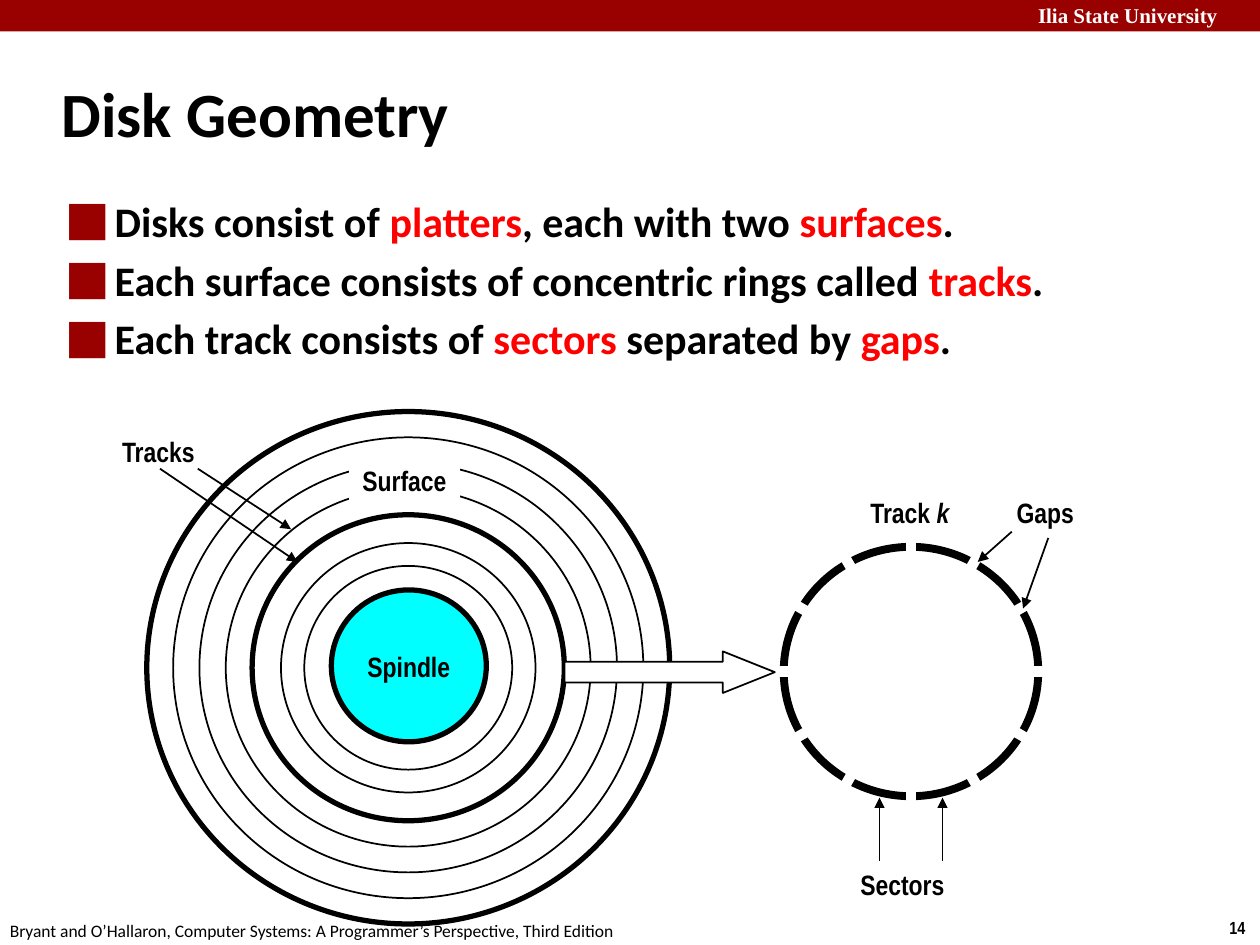
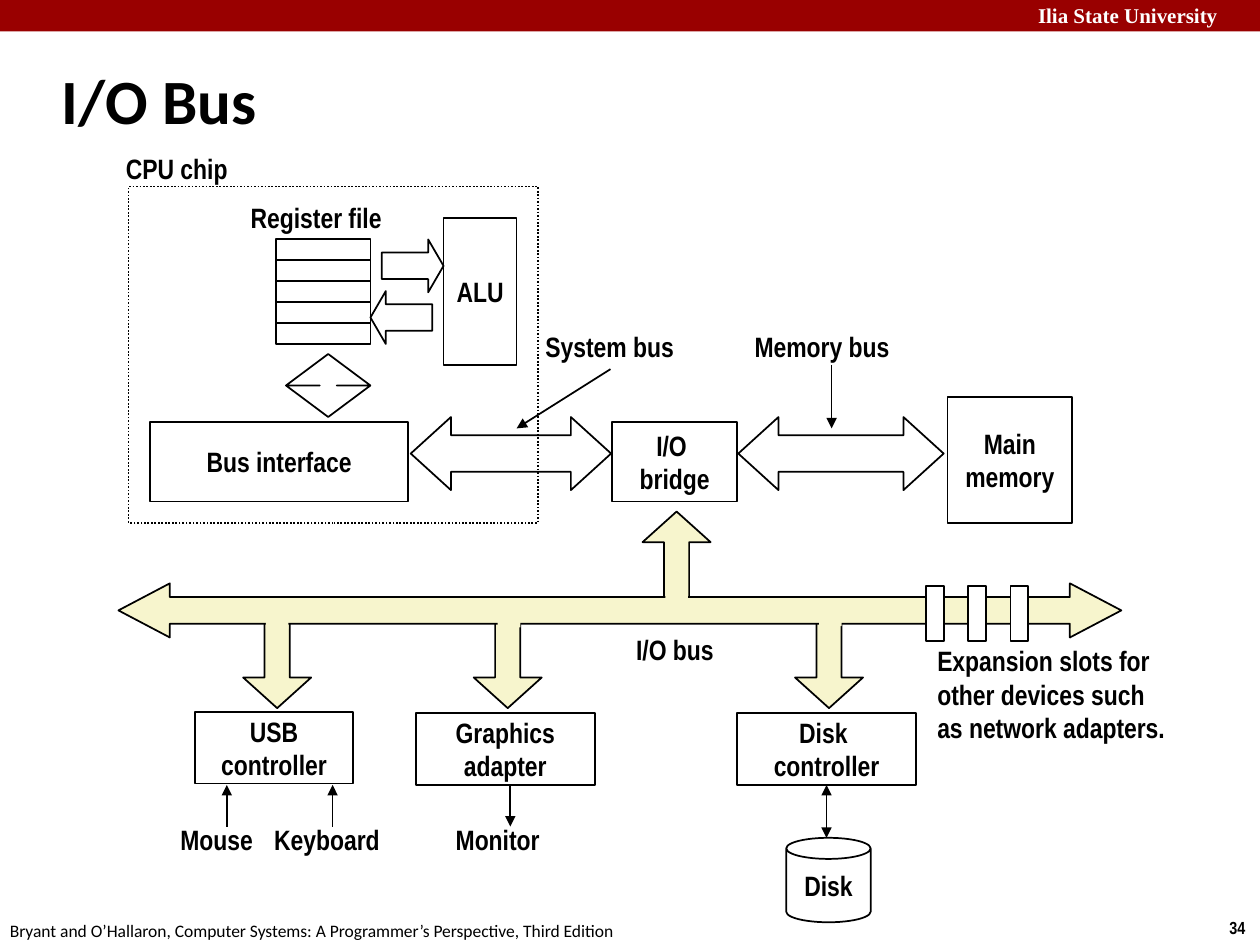
import math

from lxml import etree
from pptx import Presentation
from pptx import util as u
from pptx.dml.color import RGBColor
from pptx.enum import dml, shapes, text
from pptx.oxml.ns import qn

COLUMNS, ROWS = 100, 75
WIDTH, HEIGHT = u.Inches(10), u.Inches(7.5)
BLACK, WHITE, RED, MAROON = "000000", "FFFFFF", "FF0000", "990000"
CYAN, CREAM = "00FFFF", "F7F5CD"
LABEL = {"name": "Arial Narrow", "size": u.Pt(16), "bold": True}
TITLE = {"name": "Calibri", "size": u.Pt(36), "bold": True}
BODY = {"name": "Calibri", "size": u.Pt(24), "bold": True}
BRAND = {"name": "Times New Roman", "size": u.Pt(12), "bold": True}
NUMBER = {"name": "Arial Narrow", "size": u.Pt(10), "bold": True}
CREDIT = {"name": "Calibri", "size": u.Pt(10), "bold": False}
LEFT, CENTER = text.PP_ALIGN.LEFT, text.PP_ALIGN.CENTER
TOP, MIDDLE = text.MSO_ANCHOR.TOP, text.MSO_ANCHOR.MIDDLE
KIND = shapes.MSO_SHAPE


def x(columns):
    """Convert grid columns to a horizontal length."""
    return round(WIDTH * columns / COLUMNS)


def y(rows):
    """Convert grid rows to a vertical length."""
    return round(HEIGHT * rows / ROWS)


def area(left, top, width, height):
    """Convert a grid rectangle to slide lengths."""
    return x(left), y(top), x(width), y(height)


def apply(target, values):
    """Set every attribute named in a dict."""
    for name, value in values.items():
        setattr(target, name, value)


def paint(fill, color):
    """Fill with a hex colour, or clear the fill when there is none."""
    if color:
        fill.solid()
        fill.fore_color.rgb = RGBColor.from_string(color)
    else:
        fill.background()


def write(frame, words, style, color=BLACK, align=LEFT, anchor=MIDDLE, wrap=False, accent=None):
    """Write lines of text; pieces between bars get the accent format."""
    apply(frame, {"word_wrap": wrap, "vertical_anchor": anchor, "auto_size": text.MSO_AUTO_SIZE.NONE})
    for index, line in enumerate(words.split("\n")):
        para = frame.paragraphs[0] if index == 0 else frame.add_paragraph()
        para.alignment = align
        for order, piece in enumerate(line.split("|")):
            span = para.add_run()
            span.text = piece
            accented = accent if order % 2 else None
            apply(span.font, {**style, **(accented or {}).get("font", {})})
            paint(span.font.fill, (accented or {}).get("color", color))


def label(page, words, place, style=LABEL, **layout):
    """Add a text box."""
    box = page.shapes.add_textbox(*area(*place))
    write(box.text_frame, words, style, **layout)
    return box


def block(page, kind, place, words="", fill=None, line=BLACK, weight=1, adjust=()):
    """Add a preset shape with optional centred text."""
    shape = page.shapes.add_shape(kind, *area(*place))
    shape.shadow.inherit = False
    paint(shape.fill, fill)
    paint(shape.line.fill, line)
    shape.line.width = u.Pt(weight)
    for index, value in enumerate(adjust):
        shape.adjustments[index] = value
    if words:
        write(shape.text_frame, words, LABEL, align=CENTER)
    return shape


def link(page, start, end, color=BLACK, weight=1, ends=("tailEnd",), source=None):
    """Draw a straight line with triangles at the named ends."""
    line = page.shapes.add_connector(
        shapes.MSO_CONNECTOR.STRAIGHT, x(start[0]), y(start[1]), x(end[0]), y(end[1]))
    if source is not None:
        line.begin_connect(source, 2)
    paint(line.line.fill, color)
    line.line.width = u.Pt(weight)
    for end_name in ends:
        etree.SubElement(line.line._get_or_add_ln(), qn(f"a:{end_name}"), type="triangle")
    etree.SubElement(line._element.spPr, qn("a:effectLst"))


def indent(para, inches):
    """Give a paragraph a hanging indent."""
    properties = para._p.get_or_add_pPr()
    properties.set("marL", str(u.Inches(inches)))
    properties.set("indent", str(-u.Inches(inches)))
    return properties


def place_holder(holder, place):
    """Move a placeholder onto the grid."""
    apply(holder, dict(zip(("left", "top", "width", "height"), area(*place))))


def start_page(deck, layout, title, title_top, number):
    """Add a slide with its title, band and footers."""
    page = deck.slides.add_slide(deck.slide_layouts[layout])
    block(page, KIND.RECTANGLE, (0, 0, COLUMNS, 2.5), fill=MAROON, line=None)
    label(page, "Ilia State University", (81.4, -0.3, 19.3, 3), BRAND, color=WHITE, anchor=TOP, wrap=True)
    label(page, number, (96.6, 72.3, 3.4, 2.7), NUMBER, anchor=TOP)
    label(page, "Bryant and O’Hallaron, Computer Systems: A Programmer’s Perspective, Third Edition",
          (-0.2, 72.5, 50.8, 2.7), CREDIT, anchor=TOP)
    holder = page.shapes.title
    place_holder(holder, (3.9, title_top, 83, 8.3))
    write(holder.text_frame, title, TITLE, wrap=True)
    indent(holder.text_frame.paragraphs[0], 0.13)
    return page


def bullets(page, words, place):
    """Fill the body placeholder with square bullets."""
    holder = page.placeholders[1]
    place_holder(holder, place)
    write(holder.text_frame, words, BODY, anchor=TOP, wrap=True, accent={"color": RED})
    for index, para in enumerate(holder.text_frame.paragraphs):
        para.space_before = u.Pt(4.8 if index else 0)
        properties = indent(para, 0.38)
        tint = etree.SubElement(properties, qn("a:buClr"))
        etree.SubElement(tint, qn("a:srgbClr"), val=MAROON)
        etree.SubElement(properties, qn("a:buChar"), char="⬛")


def ring(page, center, diameter, **look):
    """Draw a slightly flattened circle around a centre."""
    height = diameter * 0.98
    place = (center[0] - diameter / 2, center[1] - height / 2, diameter, height)
    block(page, KIND.OVAL, place, **look)


def platter(page):
    """Draw the surface with its tracks and spindle."""
    center = (32.4, 53)
    for index in range(5):
        ring(page, center, 41.5 - 4.18 * index, weight=1 if index % 4 else 3)
    for diameter in (20.2, 16.5):
        ring(page, center, diameter)
    ring(page, (32.45, 52.85), 12.3, words="Spindle", fill=CYAN, weight=3)
    block(page, KIND.RECTANGLE, (27.7, 36.3, 8.8, 3.7), "Surface", WHITE, None)
    link(page, (12.7, 37.2), (23.6, 44.6))
    link(page, (15.7, 37.2), (23.1, 42))
    label(page, "Tracks", (8.7, 34, 7.9, 3.7))


def track(page):
    """Draw one track cut into sectors by evenly spaced gaps."""
    center, reach, sectors = (72.3, 53.3), 11.6, 12
    ring(page, center, 20.2, weight=4.5)
    label(page, "Track |k", (68.1, 38.8, 8.7, 3.7), accent={"font": {"italic": True}})
    for index in range(sectors):
        angle = 2 * math.pi * index / sectors
        rim = (center[0] + reach * math.cos(angle), center[1] + reach * math.sin(angle))
        link(page, center, rim, WHITE, 6, ends=())
    label(page, "Sectors", (67.3, 68.3, 8.8, 3.7))
    for column in (69.8, 74.8):
        link(page, (column, 68.3), (column, 63.3))
    block(page, KIND.RIGHT_ARROW, (44.8, 51.7, 16.7, 3.3), fill=WHITE, adjust=(0.5, 1.25))
    label(page, "Gaps", (79.7, 38.8, 6.6, 3.7))
    link(page, (80.3, 42.2), (77.6, 44.6))
    link(page, (83.2, 42.7), (81.2, 48.3))


def cpu_chip(page):
    """Draw the processor with registers, ALU and bus interface."""
    block(page, KIND.RECTANGLE, (11.9, 33.5, 20.5, 6.3), "Bus interface")
    for index in range(5):
        block(page, KIND.RECTANGLE, (21.9, 19 + 1.66 * index, 7.5, 1.66))
    block(page, KIND.RIGHT_ARROW, (30.3, 19, 4.9, 4.2), adjust=(0.5, 0.29))
    block(page, KIND.LEFT_ARROW, (29.4, 23.1, 4.9, 4.2), adjust=(0.5, 0.29))
    block(page, KIND.RECTANGLE, (35.2, 17.3, 5.8, 11.7), "ALU")
    label(page, "Register file", (18.8, 15.4, 12.6, 3.7), align=CENTER)
    block(page, KIND.UP_DOWN_ARROW, (22.7, 28.1, 6.7, 5), adjust=(0.5, 0.2))
    chip = block(page, KIND.RECTANGLE, (10.2, 14.8, 32.5, 26.7))
    chip.line.dash_style = dml.MSO_LINE.ROUND_DOT
    label(page, "CPU chip", (9, 11.5, 11.9, 3.7))


def memory_path(page):
    """Draw the bridge, the main memory and the buses between them."""
    block(page, KIND.RECTANGLE, (75.2, 31.5, 9.9, 10), "Main\nmemory")
    block(page, KIND.RECTANGLE, (48.6, 33.5, 9.9, 6.3), "I/O \nbridge")
    for left, width in ((58.6, 16.3), (32.6, 15.9)):
        block(page, KIND.LEFT_RIGHT_ARROW, (left, 33.1, width, 5.8), adjust=(0.5, 0.55))
    system = label(page, "System bus", (42.3, 25.6, 12.3, 3.7))
    link(page, (48.5, 29), (41, 34), source=system)
    label(page, "Memory bus", (58.9, 25.6, 12.9, 3.7))
    link(page, (66, 29), (66, 34))


def devices(page):
    """Draw the controllers and what hangs below them."""
    block(page, KIND.RECTANGLE, (15.5, 56.5, 12.5, 5.7), "USB\ncontroller")
    block(page, KIND.RECTANGLE, (33, 56.6, 14.2, 5.7), "Graphics\nadapter")
    disk_controller = block(page, KIND.RECTANGLE, (58.5, 56.6, 14.2, 5.7), "Disk \ncontroller")
    for column in (18, 26.4):
        link(page, (column, 65.6), (column, 62.3))
    link(page, (40.5, 62.3), (40.5, 65.6))
    for words, left, width in (("Mouse", 13.3, 7.8), ("Keyboard", 20.7, 10.5), ("Monitor", 35.1, 8.8)):
        label(page, words, (left, 64.8, width, 3.7), align=CENTER)
    link(page, (65.6, 62.3), (65.6, 66.5), ends=("headEnd", "tailEnd"), source=disk_controller)
    block(page, KIND.CAN, (62.4, 66.5, 6.7, 6.7), "Disk", adjust=(0.25,))


def io_bus(page):
    """Draw the I/O bus, its branches and the expansion slots."""
    branch = {"fill": CREAM, "adjust": (0.37, 0.45)}
    block(page, KIND.UP_ARROW, (51, 40.6, 5.4, 7.5), **branch)
    for left in (19.3, 37.6, 63.1):
        block(page, KIND.DOWN_ARROW, (left, 48.7, 5.4, 7.5), **branch)
    block(page, KIND.LEFT_RIGHT_ARROW, (9.4, 46.3, 79.6, 4.3), fill=CREAM, adjust=(0.49, 0.95))
    for left, top in ((21.1, 48.2), (39.5, 48.1), (65, 48), (52.8, 47.3)):
        block(page, KIND.RECTANGLE, (left, top, 1.8, 1.7), fill=CREAM, line=None)
    label(page, "I/O bus", (49.5, 49.7, 9.6, 3.7))
    for index in range(3):
        block(page, KIND.RECTANGLE, (73.5 + 3.35 * index, 46.5, 1.4, 4.4), fill=WHITE)
    label(page, "Expansion slots for\nother devices such\nas network adapters.",
          (73.4, 50.6, 24.2, 11.7), anchor=TOP, wrap=True)


def main():
    """Build and save the deck."""
    deck = Presentation()
    apply(deck, {"slide_width": WIDTH, "slide_height": HEIGHT})
    geometry = start_page(deck, 1, "Disk Geometry", 4.8, "14")
    bullets(geometry, "Disks consist of |platters|, each with two |surfaces|.\n"
            "Each surface consists of concentric rings called |tracks|.\n"
            "Each track consists of |sectors| separated by |gaps|.", (4.3, 15, 86.4, 54.4))
    platter(geometry)
    track(geometry)
    bus = start_page(deck, 5, "I/O Bus", 3.7, "34")
    for draw in (memory_path, cpu_chip, devices, io_bus):
        draw(bus)
    deck.save("out.pptx")


if __name__ == "__main__":
    main()
